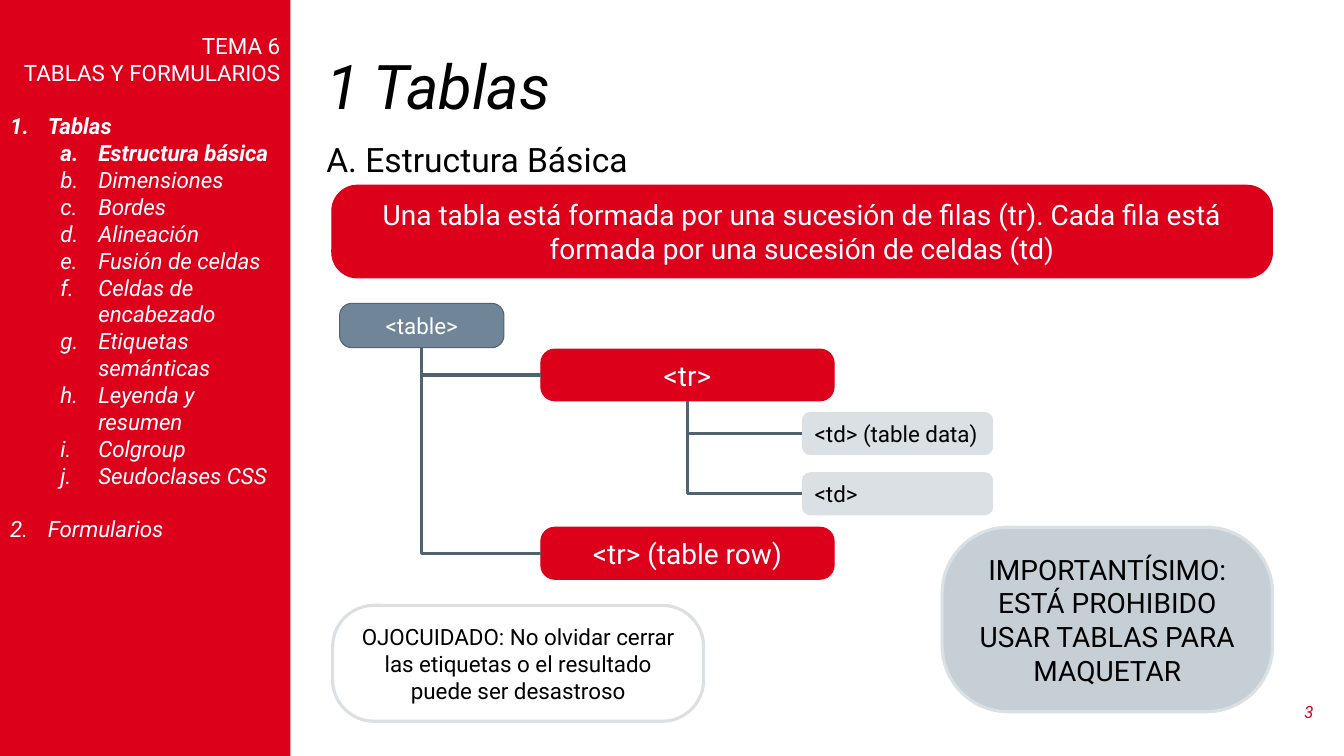
"""Build the slide on the basic structure of HTML tables."""
from lxml import etree
from pptx import Presentation
from pptx.dml.color import RGBColor
from pptx.enum.shapes import MSO_CONNECTOR, MSO_SHAPE
from pptx.enum.text import MSO_ANCHOR, MSO_AUTO_SIZE, PP_ALIGN
from pptx.oxml.ns import qn
from pptx.util import Pt

LEFT, MID, RIGHT = PP_ALIGN.LEFT, PP_ALIGN.CENTER, PP_ALIGN.RIGHT
TOP, CENTER = MSO_ANCHOR.TOP, MSO_ANCHOR.MIDDLE
ROUND, ELBOW = MSO_SHAPE.ROUNDED_RECTANGLE, MSO_CONNECTOR.ELBOW
FIXED = MSO_AUTO_SIZE.NONE

RED = RGBColor(0xDC, 0x00, 0x1B)
SLATE = RGBColor(0x70, 0x86, 0x98)
DARK = RGBColor(0x51, 0x62, 0x70)
MIST = RGBColor(0xDA, 0xE0, 0xE4)
STEEL = RGBColor(0xC6, 0xCF, 0xD6)
WHITE = RGBColor(0xFF, 0xFF, 0xFF)
BLACK = RGBColor(0x00, 0x00, 0x00)
FONT = "Roboto"
GAP = 19.2

HEADS = ["TEMA 6", "TABLAS Y FORMULARIOS"]
TOPICS = [
    ("Tablas", ["Estructura básica", "Dimensiones", "Bordes", "Alineación",
                "Fusión de celdas", "Celdas de encabezado",
                "Etiquetas semánticas", "Leyenda y resumen", "Colgroup",
                "Seudoclases CSS"]),
    ("Formularios", []),
]
ACTIVE = ("Tablas", "Estructura básica")

KINDS = {
    "root": dict(fill=SLATE, line=DARK, size=16, color=WHITE, adj=0.277),
    "row": dict(fill=RED, line=RED, size=20, color=WHITE, adj=0.27),
    "cell": dict(fill=MIST, line=MIST, size=16, align=LEFT, adj=0.195),
    "banner": dict(fill=RED, line=RED, size=20, color=WHITE, adj=0.277),
    "alert": dict(fill=STEEL, line=MIST, size=20, width=2.25, adj=0.357),
    "note": dict(fill=None, line=MIST, size=16, width=2.25, adj=0.357),
}
BOXES = {
    "table": ("root", "<table>", (242.6, 216.7, 117.4, 31.7)),
    "tr1": ("row", "<tr>", (386.3, 249.4, 209.5, 36.9)),
    "tr2": ("row", "<tr> (table row)", (386.3, 376.6, 209.5, 37.2)),
    "td1": ("cell", "<td> (table data)", (573.1, 294.6, 136, 30.2)),
    "td2": ("cell", "<td>", (573.1, 337.6, 136, 30.2)),
    "rule": ("banner", "Una tabla está formada por una sucesión de filas (tr). "
             "Cada fila está formada por una sucesión de celdas (td)",
             (237, 132.3, 671.9, 66.2)),
    "ban": ("alert", "IMPORTANTÍSIMO: ESTÁ PROHIBIDO USAR TABLAS PARA MAQUETAR",
            (673, 376.6, 236, 131.8)),
    "care": ("note", "OJOCUIDADO: No olvidar cerrar las etiquetas o el "
             "resultado puede ser desastroso", (237.6, 432.4, 265, 82.8)),
}
LINKS = [("table", "tr1"), ("table", "tr2"), ("tr1", "td1"), ("tr1", "td2")]


def write(para, text, size=16, color=BLACK, align=LEFT, bold=False,
          italic=False, before=0, lead=1.0):
    """Set one paragraph and its format."""
    para.alignment, para.line_spacing = align, lead
    para.space_before, para.space_after = Pt(before), Pt(0)
    run = para.add_run()
    run.text = text
    font = run.font
    font.name, font.size, font.bold, font.italic = FONT, Pt(size), bold, italic
    font.color.rgb = color


def place(shape, x, y, w, h):
    """Move and size a shape."""
    shape.left, shape.top = Pt(x), Pt(y)
    shape.width, shape.height = Pt(w), Pt(h)


def setup(shape, anchor=CENTER):
    """Ready a text frame and return it."""
    frame = shape.text_frame
    frame.word_wrap, frame.auto_size = True, FIXED
    frame.vertical_anchor = anchor
    return frame


def mark(para, style, indent):
    """Give a paragraph a number, or none, and a hanging indent."""
    props = para._p.get_or_add_pPr()
    props.set("marL", str(Pt(indent)))
    props.set("indent", str(-Pt(27) if style else 0))
    if style:
        etree.SubElement(props, qn("a:buFont"), typeface=FONT)
        etree.SubElement(props, qn("a:buAutoNum"), type=style)
    else:
        etree.SubElement(props, qn("a:buNone"))


def index(body):
    """Fill the side panel with the headings and the topic list."""
    place(body, 0, 0, 207.4, 540)
    body.fill.solid()
    body.fill.fore_color.rgb = RED
    frame = setup(body, TOP)
    frame.margin_top = Pt(3.6 + GAP)
    rows = [(head, 0, None, 0, 0) for head in HEADS]
    for topic, parts in TOPICS:
        rows.append((topic, 0, "arabicPeriod", 27, GAP))
        rows += [(part, 1, "alphaLcPeriod", 63, 0) for part in parts]
    for i, (text, level, style, indent, before) in enumerate(rows):
        para = frame.add_paragraph() if i else frame.paragraphs[0]
        para.level = level
        write(para, text, color=WHITE, align=LEFT if style else RIGHT,
              bold=text in ACTIVE, italic=bool(style), before=before)
        mark(para, style, indent)


def add_box(slide, kind, text, spot):
    """Add a rounded box with text."""
    look = KINDS[kind]
    box = slide.shapes.add_shape(ROUND, *map(Pt, spot))
    box.shadow.inherit = False
    box.adjustments[0] = look["adj"]
    if look["fill"] is None:
        box.fill.background()
    else:
        box.fill.solid()
        box.fill.fore_color.rgb = look["fill"]
    box.line.color.rgb = look["line"]
    box.line.width = Pt(look.get("width", 0.75))
    write(setup(box).paragraphs[0], text, size=look["size"],
          color=look.get("color", BLACK), align=look.get("align", MID))
    return box


def link(slide, top, end):
    """Join a box's bottom to another's left side, down and then across."""
    x, y = top.left + top.width // 2, top.top + top.height
    far, low = end.left, end.top + end.height // 2
    wide, tall = far - x, low - y
    line = slide.shapes.add_connector(ELBOW, x, y, far, low)
    line.begin_connect(top, 2)
    line.end_connect(end, 1)
    line.left, line.top = x + (wide - tall) // 2, y + (tall - wide) // 2
    line.width, line.height = tall, wide
    line.line.color.rgb, line.line.width = DARK, Pt(2.25)
    props = line._element.spPr
    frame = props.find(qn("a:xfrm"))
    frame.set("rot", "16200000")
    frame.set("flipH", "1")
    props.find(qn("a:prstGeom")).set("prst", "bentConnector2")
    etree.SubElement(props, qn("a:effectLst"))


def main():
    """Lay out the slide and save it."""
    deck = Presentation()
    deck.slide_width, deck.slide_height = Pt(960), Pt(540)
    slide = deck.slides.add_slide(deck.slide_layouts[1])
    title, body = slide.placeholders
    place(title, 226, 36, 719.3, 56.2)
    write(setup(title).paragraphs[0], "1 Tablas", size=44, italic=True, lead=0.9)
    index(body)
    head = slide.shapes.add_textbox(Pt(226), Pt(95.8), Pt(537), Pt(36))
    write(setup(head, TOP).paragraphs[0], "A. Estructura Básica", size=24)
    page = slide.shapes.add_textbox(Pt(908.6), Pt(493.9), Pt(36.7), Pt(28.8))
    write(setup(page).paragraphs[0], "3", size=12, color=RED, align=RIGHT,
          italic=True)
    boxes = {name: add_box(slide, *box) for name, box in BOXES.items()}
    for top, end in LINKS:
        link(slide, boxes[top], boxes[end])
    deck.save("out.pptx")


if __name__ == "__main__":
    main()
